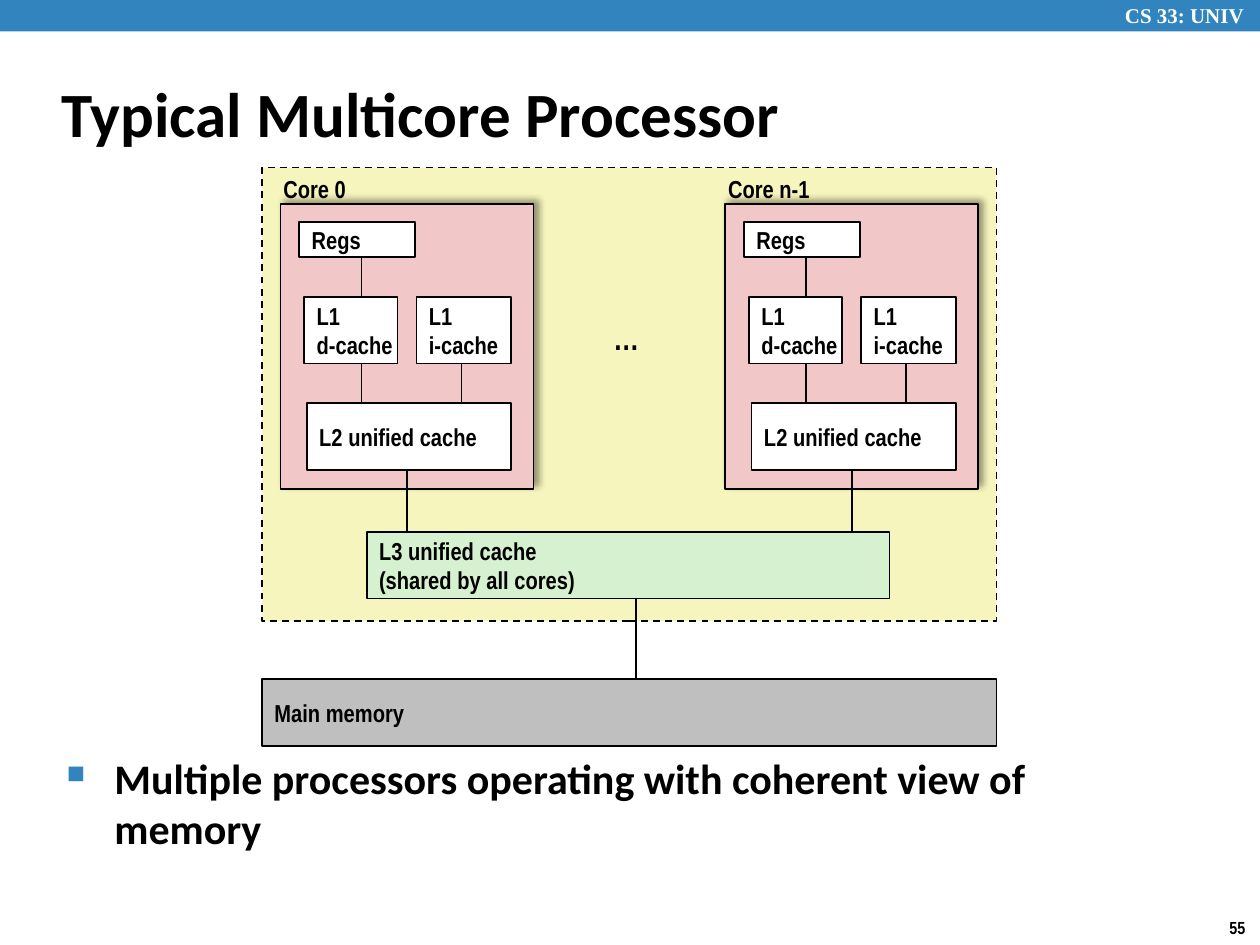
from lxml import etree
from pptx import Presentation
from pptx.dml.color import RGBColor
from pptx.enum.dml import MSO_LINE
from pptx.enum.shapes import MSO_CONNECTOR, MSO_SHAPE
from pptx.enum.text import MSO_ANCHOR
from pptx.oxml import parse_xml
from pptx.oxml.ns import nsdecls, qn
from pptx.util import Inches, Pt

RECT, STRAIGHT = MSO_SHAPE.RECTANGLE, MSO_CONNECTOR.STRAIGHT
TOP, MIDDLE, DASH = MSO_ANCHOR.TOP, MSO_ANCHOR.MIDDLE, MSO_LINE.DASH
BLACK = RGBColor(0x00, 0x00, 0x00)
WHITE = RGBColor(0xFF, 0xFF, 0xFF)
BLUE = RGBColor(0x32, 0x84, 0xBF)
YELLOW = RGBColor(0xF6, 0xF5, 0xBD)
PINK = RGBColor(0xF1, 0xC7, 0xC7)
GREEN = RGBColor(0xD5, 0xF1, 0xCF)
GRAY = RGBColor(0xBF, 0xBF, 0xBF)
HEAD, BODY, LABEL = "Times New Roman", "Calibri", "Arial Narrow"
COLS, ROWS = 100, 75
CELL = Inches(0.1)
CACHE_H = 5.3
GAP = 3.15


def grid(*cells):
    """Turn grid cells into slide lengths."""
    return [round(c * CELL) for c in cells]


def write(sp, lines, size=14, font=LABEL, color=BLACK, anchor=TOP):
    """Write bold left-aligned lines into a shape and return its text frame."""
    tf = sp.text_frame
    tf.word_wrap = True
    tf.margin_right = 0
    tf.vertical_anchor = anchor
    for i, line in enumerate(lines):
        p = tf.add_paragraph() if i else tf.paragraphs[0]
        p.alignment = 1
        r = p.add_run()
        r.text = line
        r.font.size, r.font.name, r.font.bold = Pt(size), font, True
        r.font.color.rgb = color
    return tf


def text(s, box, *lines, **style):
    """Add a text box."""
    return write(s.shapes.add_textbox(*grid(*box)), lines, **style)


def rect(s, box, fill, *lines):
    """Add an outlined box with optional label lines."""
    sp = s.shapes.add_shape(RECT, *grid(*box))
    sp.shadow.inherit = False
    sp.fill.solid()
    sp.fill.fore_color.rgb = fill
    sp.line.color.rgb = BLACK
    sp.line.width = Pt(1)
    write(sp, lines, anchor=MIDDLE)
    return sp


def wire(s, x, y, length):
    """Add a vertical connector going down from a point."""
    cx = s.shapes.add_connector(STRAIGHT, *grid(x, y, x, y + length))
    cx.line.color.rgb = BLACK
    cx.line.width = Pt(1)
    etree.SubElement(cx._element.spPr, qn("a:effectLst"))


def cast_shadow(sp):
    """Give a shape a soft shadow towards the upper right."""
    effects = sp._element.spPr.find(qn("a:effectLst"))
    effects.append(parse_xml(
        f'<a:outerShdw {nsdecls("a")} blurRad="{Pt(4)}" dist="{Pt(3)}" '
        'dir="18900000" algn="bl" rotWithShape="0"><a:srgbClr val="000000">'
        '<a:alpha val="40000"/></a:srgbClr></a:outerShdw>'))


def hang(p, indent):
    """Give a paragraph a hanging indent and return its properties."""
    pPr = p._p.get_or_add_pPr()
    pPr.set("marL", str(Inches(indent)))
    pPr.set("indent", str(-Inches(indent)))
    return pPr


def header(s, box):
    """Draw the course band and its label."""
    x, y, w, h = box
    band = rect(s, box, BLUE)
    band.line.fill.background()
    text(s, (x + w - 11.7, y - 0.3, 12.4, 3), "CS 33: UNIV",
         size=12, font=HEAD, color=WHITE)


def title(s, box):
    """Place the slide title."""
    tf = text(s, box, "Typical Multicore Processor",
              size=36, font=BODY, anchor=MIDDLE)
    hang(tf.paragraphs[0], 0.13)


def bullet(s, box):
    """Place the bulleted statement."""
    tf = text(s, box,
              "Multiple processors operating with coherent view of memory",
              size=24, font=BODY)
    p = tf.paragraphs[0]
    p.space_before = Pt(4.8)
    pPr = hang(p, 0.38)
    color = etree.SubElement(pPr, qn("a:buClr"))
    etree.SubElement(color, qn("a:srgbClr"), val=str(BLUE))
    etree.SubElement(pPr, qn("a:buSzPct"), val="60000")
    etree.SubElement(pPr, qn("a:buChar"), char="■")


def core(s, box, name):
    """Draw one core with its registers and private caches."""
    x, y, w, h = box
    l1, l2 = y + 7.35, y + 15.8
    cast_shadow(rect(s, box, PINK))
    text(s, (x - 0.75, y - 2.9, 9, 3.4), name)
    rect(s, (x + 1.5, y + 1.4, 9.2, 2.8), WHITE, "Regs")
    rect(s, (x + 1.9, l1, 7.4, CACHE_H), WHITE, "L1", "d-cache")
    rect(s, (x + 10.8, l1, 7.5, CACHE_H), WHITE, "L1", "i-cache")
    rect(s, (x + 2.1, l2, 16.2, CACHE_H), WHITE, "L2 unified cache")
    wire(s, x + w * 0.32, y + 4.2, GAP)
    for share in (0.32, 0.715):
        wire(s, x + w * share, l1 + CACHE_H, GAP)


def processor(s, box):
    """Draw the chip, its cores, the shared cache and main memory."""
    x, y, w, h = box
    chip = rect(s, box, YELLOW)
    chip.line.dash_style = DASH
    core_w, side = 20.1, 1.45
    l3, memory = y + 28.9, y + 40.6
    core_xs = (x + side, x + w - side - core_w)
    for core_x, name in zip(core_xs, ("Core 0", "Core n-1")):
        core(s, (core_x, y + 2.9, core_w, 22.6), name)
        wire(s, core_x + core_w / 2, y + 24, 4.9)
    text(s, (x + 26.9, y + 11.5, 3.8, 4), "…", size=18)
    rect(s, (x + 8.3, l3, 41.5, CACHE_H), GREEN,
         "L3 unified cache", "(shared by all cores)")
    rect(s, (x, memory, w, CACHE_H), GRAY, "Main memory")
    wire(s, x + 29.7, l3 + CACHE_H, memory - l3 - CACHE_H)


def page_number(s, box):
    """Place the slide number."""
    text(s, box, "55", size=10)


def main():
    """Build and save the slide."""
    prs = Presentation()
    prs.slide_width, prs.slide_height = grid(COLS, ROWS)
    s = prs.slides.add_slide(prs.slide_layouts[6])
    header(s, (0, 0, COLS, 2.5))
    page_number(s, (96.6, 72.3, 3.4, 2.7))
    title(s, (3.9, 4.8, 83, 8.3))
    bullet(s, (4.3, 59.2, 86.4, 10.1))
    processor(s, (20.8, 13.3, 58.3, 36))
    prs.save("out.pptx")


if __name__ == "__main__":
    main()
